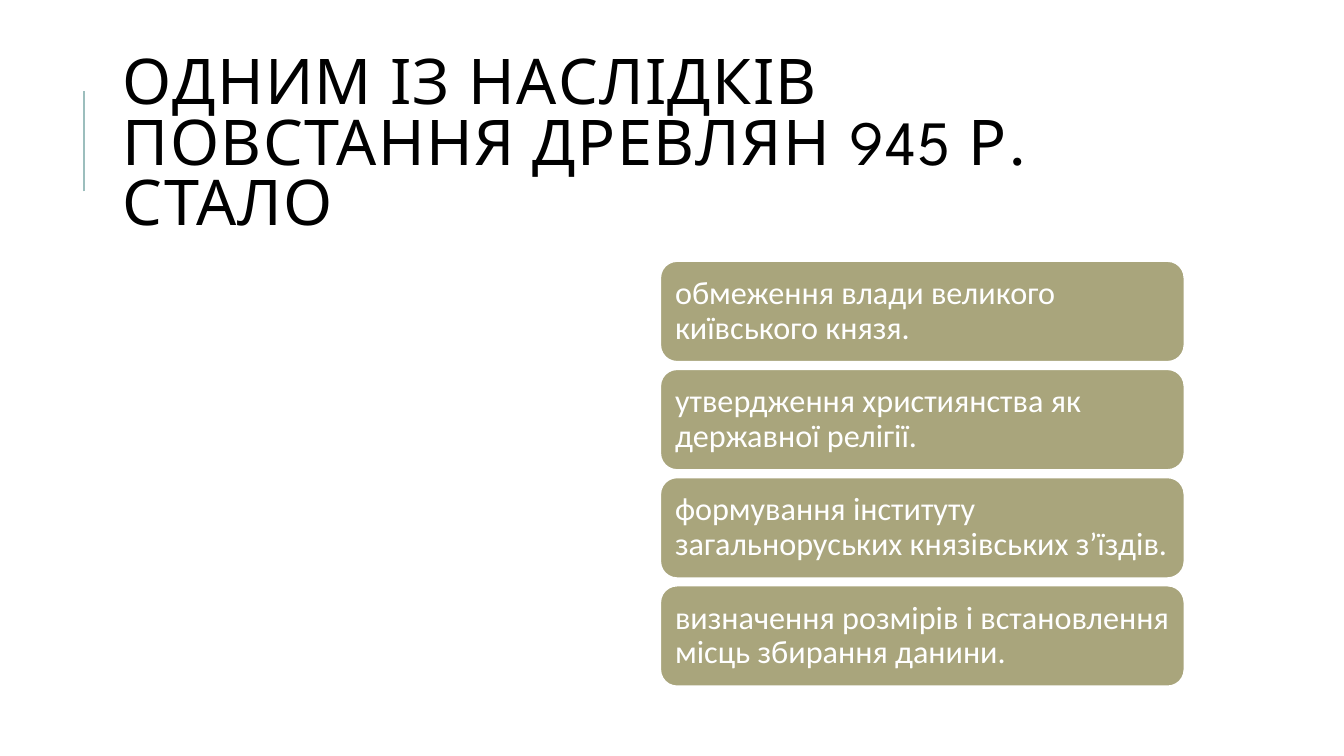
from dataclasses import dataclass

from lxml import etree
from pptx import Presentation
from pptx.dml.color import RGBColor
from pptx.enum.shapes import MSO_CONNECTOR, MSO_SHAPE
from pptx.enum.text import MSO_ANCHOR, MSO_AUTO_SIZE, PP_ALIGN
from pptx.oxml.ns import qn
from pptx.slide import Slide
from pptx.text.text import TextFrame
from pptx.util import Inches, Pt

STRAIGHT = MSO_CONNECTOR.STRAIGHT
ROUNDED = MSO_SHAPE.ROUNDED_RECTANGLE
MIDDLE = MSO_ANCHOR.MIDDLE
NO_AUTOFIT = MSO_AUTO_SIZE.NONE
LEFT = PP_ALIGN.LEFT

SLIDE_WIDTH, SLIDE_HEIGHT = Inches(13.333), Inches(7.5)
COLORS = {"title": "000000", "accent": "9CBEBD", "card": "A9A57C", "white": "FFFFFF"}


@dataclass(frozen=True)
class Area:
    """A rectangle in percent of the slide's width and height."""
    left: float
    top: float
    width: float
    height: float

    def box(self) -> dict[str, int]:
        return {
            "left": round(SLIDE_WIDTH * self.left / 100),
            "top": round(SLIDE_HEIGHT * self.top / 100),
            "width": round(SLIDE_WIDTH * self.width / 100),
            "height": round(SLIDE_HEIGHT * self.height / 100),
        }


@dataclass(frozen=True)
class TextStyle:
    font: str
    size: float
    color: str
    line_spacing: float


@dataclass(frozen=True)
class Card:
    text: str
    row: int

    def area(self) -> Area:
        return Area(49.13, 34.53 + self.row * CARD_PITCH, 39, 13.33)


TITLE = "ОДНИМ ІЗ НАСЛІДКІВ ПОВСТАННЯ ДРЕВЛЯН 945 Р. СТАЛО"
TITLE_AREA = Area(8.4, 8.53, 79.73, 21.87)
TITLE_STYLE = TextStyle("League Spartan", 45, "title", 0.8)
ACCENT_AREA = Area(6.25, 12, 0, 13.33)
CARD_STYLE = TextStyle("Calibri", 23, "white", 0.9)
CARD_PITCH = 14.31
# The narrow right margin keeps every answer on two lines
CARD_MARGINS = {
    "margin_left": Inches(0.1),
    "margin_top": Inches(0.1),
    "margin_right": Inches(0.05),
    "margin_bottom": Inches(0.1),
}
ANSWERS = (
    "обмеження влади великого київського князя.",
    "утвердження християнства як державної релігії.",
    "формування інституту загальноруських князівських з’їздів.",
    "визначення розмірів і встановлення місць збирання данини.",
)


def color(name: str) -> RGBColor:
    return RGBColor.from_string(COLORS[name])


def apply(target: object, values: dict[str, object]) -> None:
    for name, value in values.items():
        setattr(target, name, value)


def write_text(frame: TextFrame, text: str, style: TextStyle) -> None:
    apply(frame, {"text": text, "word_wrap": True, "auto_size": NO_AUTOFIT,
                  "vertical_anchor": MIDDLE})
    paragraph = frame.paragraphs[0]
    apply(paragraph, {"alignment": LEFT, "line_spacing": style.line_spacing})
    font = paragraph.runs[0].font
    apply(font, {"name": style.font, "size": Pt(style.size)})
    font.color.rgb = color(style.color)


def draw_accent(slide: Slide) -> None:
    box = ACCENT_AREA.box()
    bottom = box["top"] + box["height"]
    line = slide.shapes.add_connector(STRAIGHT, box["left"], bottom, box["left"], box["top"])
    line.line.color.rgb = color("accent")
    line.line.width = Pt(1.5)
    etree.SubElement(line._element.spPr, qn("a:effectLst"))


def draw_title(slide: Slide) -> None:
    title = slide.shapes.title
    apply(title, TITLE_AREA.box())
    write_text(title.text_frame, TITLE, TITLE_STYLE)
    # Letter spacing of one point
    run = title.text_frame.paragraphs[0].runs[0]
    run._r.get_or_add_rPr().set("spc", "100")


def draw_card(slide: Slide, card: Card) -> None:
    shape = slide.shapes.add_shape(ROUNDED, **card.area().box())
    shape.shadow.inherit = False
    shape.fill.solid()
    shape.fill.fore_color.rgb = color("card")
    shape.line.color.rgb = color("white")
    shape.line.width = Pt(1.25)
    apply(shape.text_frame, CARD_MARGINS)
    write_text(shape.text_frame, card.text, CARD_STYLE)


def main() -> None:
    presentation = Presentation()
    apply(presentation, {"slide_width": SLIDE_WIDTH, "slide_height": SLIDE_HEIGHT})
    slide = presentation.slides.add_slide(presentation.slide_layouts[5])

    # Heading with its accent line
    draw_accent(slide)
    draw_title(slide)

    # Answer cards
    for row, text in enumerate(ANSWERS):
        draw_card(slide, Card(text, row))

    presentation.save("out.pptx")


if __name__ == "__main__":
    main()
